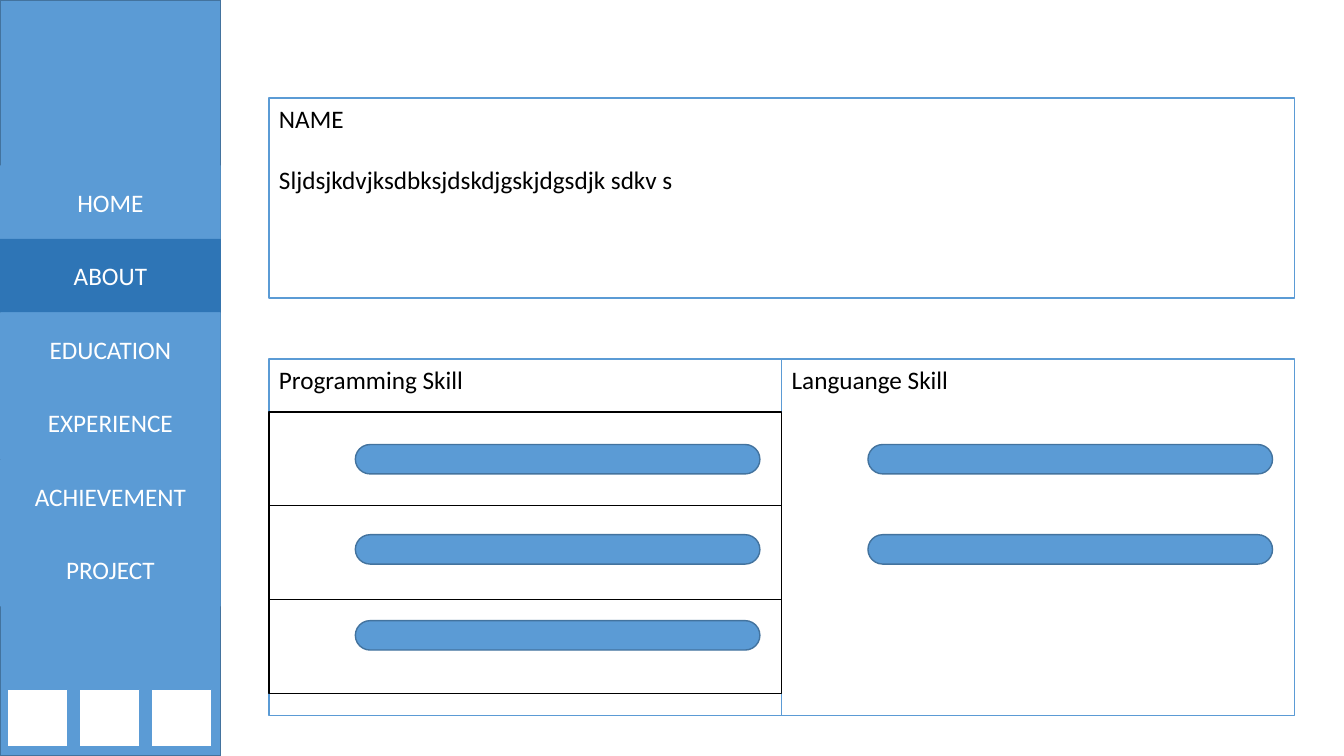
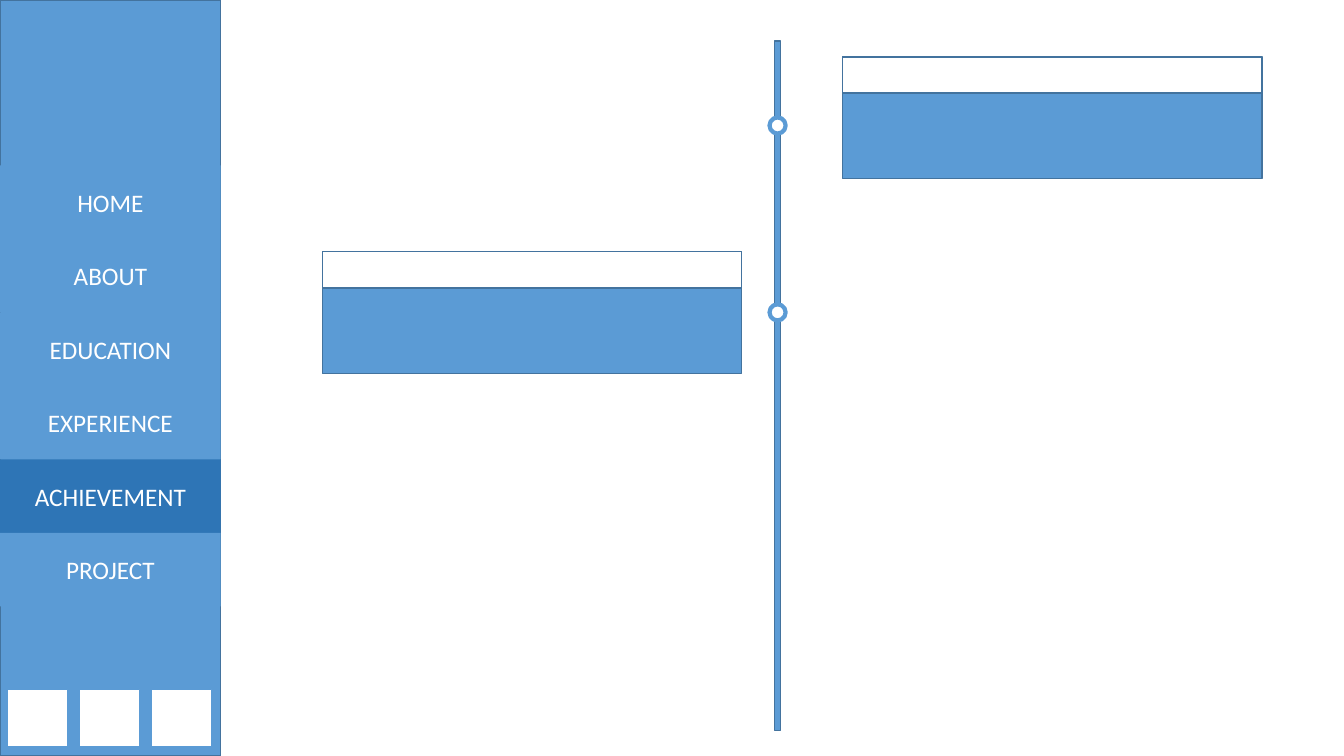
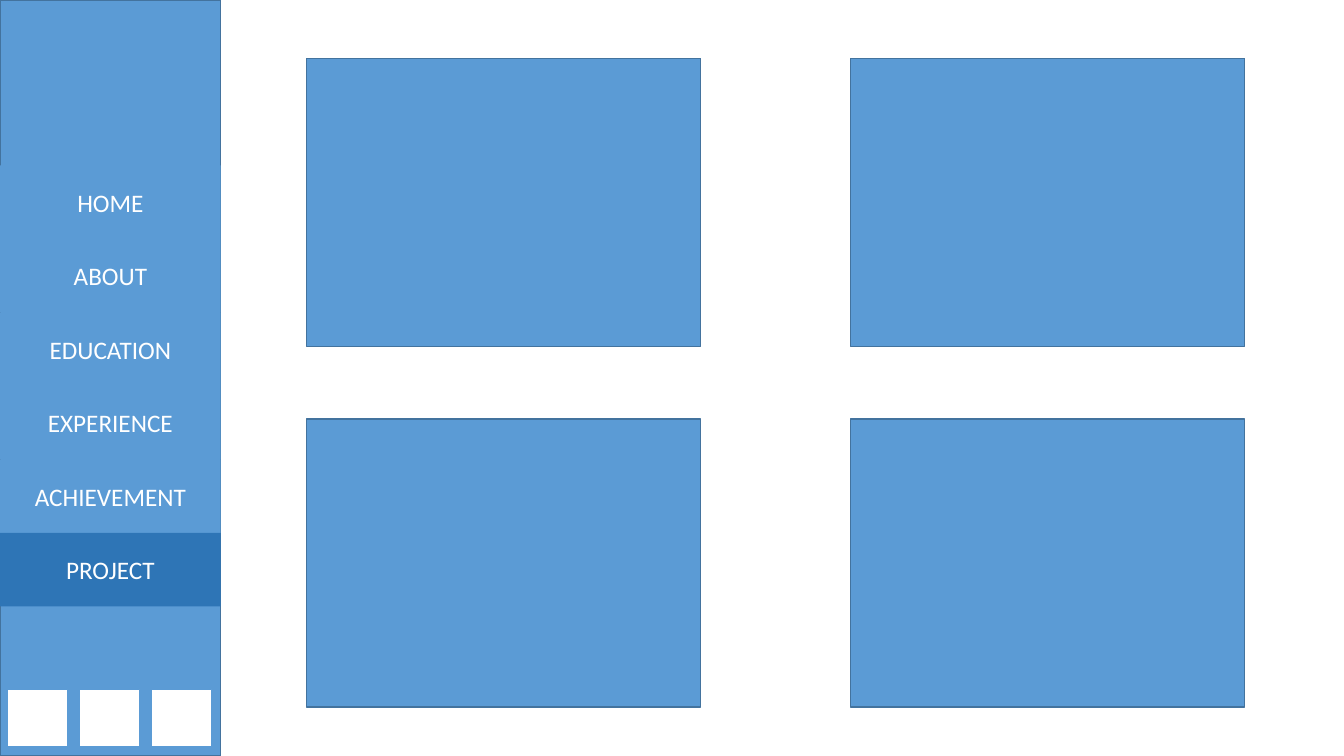
from pptx import Presentation
from pptx.dml.color import RGBColor
from pptx.enum import shapes, text
from pptx.util import Pt

BLUE, DARK, EDGE = "5B9BD5", "2E75B6", "43739E"
WHITE, BLACK = "FFFFFF", "000000"
RECT = shapes.MSO_SHAPE.RECTANGLE
ROUND = shapes.MSO_SHAPE.ROUNDED_RECTANGLE
OVAL = shapes.MSO_SHAPE.OVAL
SIDE = 157.7
MENU = ["HOME", "ABOUT", "EDUCATION", "EXPERIENCE", "ACHIEVEMENT", "PROJECT"]
FONT = {"name": "Calibri", "size": Pt(18)}
MID = {"vertical_anchor": text.MSO_ANCHOR.MIDDLE, "word_wrap": True}
TOP = {"vertical_anchor": text.MSO_ANCHOR.TOP, "word_wrap": True}
CENTER = {"alignment": text.PP_ALIGN.CENTER}
LEFT = {"alignment": text.PP_ALIGN.LEFT}


def style(item, form):
    for key, value in form.items():
        setattr(item, key, value)


def paint(fill, color):
    if color:
        fill.solid()
        fill.fore_color.rgb = RGBColor.from_string(color)
    else:
        fill.background()


def box(slide, x, y, w, h, fill=BLUE, line=EDGE, width=1, kind=RECT):
    shape = slide.shapes.add_shape(kind, Pt(x), Pt(y), Pt(w), Pt(h))
    shape.shadow.inherit = False
    paint(shape.fill, fill)
    paint(shape.line.fill, line)
    if line:
        shape.line.width = Pt(width)
    return shape


def write(shape, lines, color, frame, para, gap=0):
    body = shape.text_frame
    style(body, frame)
    for i, line in enumerate(lines):
        part = body.add_paragraph() if i else body.paragraphs[0]
        style(part, para)
        part.space_before = Pt(gap if i else 0)
        run = part.add_run()
        run.text = line
        style(run.font, FONT)
        paint(run.font.fill, color)


def panel(slide, x, y, w, h, *lines):
    shape = box(slide, x, y, w, h, WHITE, BLUE)
    write(shape, lines, BLACK, TOP, LEFT, gap=22)


def skill(slide, x, name, tops):
    panel(slide, x, 256.5, 366.2, 254.6, name)
    for top in tops:
        bar = box(slide, x + 61.6, top, 289, 21, kind=ROUND)
        bar.adjustments[0] = 0.5


def card(slide, x, y):
    box(slide, x, y, 299.5, 87)
    box(slide, x, y, 299.5, 26, WHITE)


def sidebar(slide, active):
    box(slide, 0, 0, SIDE, 540)
    for i, name in enumerate(MENU):
        color = DARK if name == active else BLUE
        item = box(slide, 0, 118.2 + i * 52.5, SIDE, 52.5, color, None)
        write(item, [name], WHITE, MID, CENTER)


def icons(slide):
    for i in range(3):
        box(slide, 5.2 + i * 51.5, 492.4, 43, 41.2, WHITE, BLUE)


def about(slide):
    panel(slide, 192.2, 69.9, 732.4, 143, "NAME",
          "Sljdsjkdvjksdbksjdskdjgskjdgsdjk sdkv s")
    tops = [317.5, 381.9, 443.3]
    skill(slide, 192.2, "Programming Skill", tops)
    skill(slide, 558.4, "Languange Skill", tops[:2])
    for i in range(3):
        box(slide, 192.2, 294.3 + i * 67, 366.2, 67, None, BLACK)


def awards(slide):
    box(slide, 553.4, 29.2, 4, 492.4)
    for y in (83.9, 217.4):
        box(slide, 549.7, y, 11.5, 11.5, WHITE, BLUE, 3, OVAL)
    card(slide, 601.9, 40.6)
    card(slide, 230.2, 179.8)


def project(slide):
    for y in (41.6, 299.2):
        for x in (218.9, 607.5):
            box(slide, x, y, 281.7, 205.9)


def main():
    deck = Presentation()
    style(deck, {"slide_width": Pt(960), "slide_height": Pt(540)})
    pages = {"ABOUT": about, "ACHIEVEMENT": awards, "PROJECT": project}
    for name, fill in pages.items():
        slide = deck.slides.add_slide(deck.slide_layouts[6])
        sidebar(slide, name)
        fill(slide)
        icons(slide)
    deck.save("out.pptx")


main()
